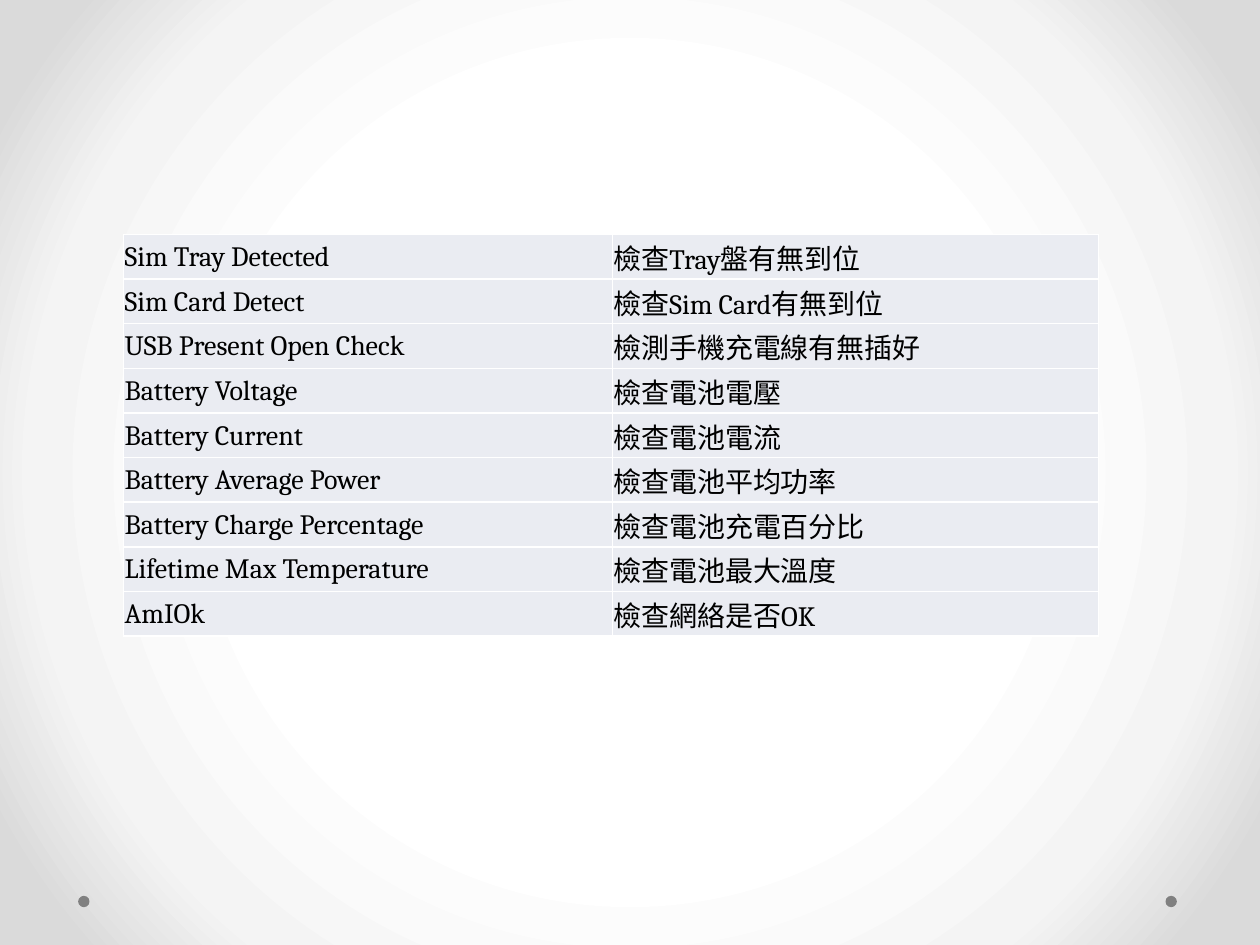
"""Build a slide with a table of phone hardware checks."""
import pptx
import pptx.dml.color
import pptx.enum.shapes
import pptx.enum.text
import pptx.oxml
import pptx.oxml.ns
import pptx.util

Inches = pptx.util.Inches
Pt = pptx.util.Pt
RGBColor = pptx.dml.color.RGBColor

CHECKS = [
    ("Sim Tray Detected", "檢查Tray盤有無到位"),
    ("Sim Card Detect", "檢查Sim Card有無到位"),
    ("USB Present Open Check", "檢測手機充電線有無插好"),
    ("Battery Voltage", "檢查電池電壓"),
    ("Battery Current", "檢查電池電流"),
    ("Battery Average Power", "檢查電池平均功率"),
    ("Battery Charge Percentage", "檢查電池充電百分比"),
    ("Lifetime Max Temperature", "檢查電池最大溫度"),
    ("AmIOk", "檢查網絡是否OK"),
]
COLUMN_WIDTHS = [3.88, 3.86]
TABLE_LEFT, TABLE_TOP, TABLE_HEIGHT = 0.98, 1.86, 3.19
DOT_LEFTS, DOT_TOP, DOT_SIZE = [9.25, 0.62], 7.11, 0.09
BACKDROP_STOPS = [
    (50, RGBColor(0xFF, 0xFF, 0xFF)),
    (76, RGBColor(0xF4, 0xF4, 0xF4)),
    (92, RGBColor(0xDA, 0xDA, 0xDA)),
]
BLACK = RGBColor(0, 0, 0)
WHITE = RGBColor(0xFF, 0xFF, 0xFF)
GREY = RGBColor(0x80, 0x80, 0x80)
PALE_BLUE = RGBColor(0xEA, 0xEC, 0xF2)
FONT = "Cambria"


def paint_backdrop(slide):
    stops = "".join(
        f'<a:gs pos="{percent * 1000}"><a:srgbClr val="{color}"/></a:gs>'
        for percent, color in BACKDROP_STOPS
    )
    backdrop = pptx.oxml.parse_xml(
        f'<p:bg {pptx.oxml.ns.nsdecls("p", "a")}><p:bgPr>'
        f'<a:gradFill rotWithShape="1"><a:gsLst>{stops}</a:gsLst><a:path path="circle">'
        '<a:fillToRect l="50000" t="50000" r="50000" b="50000"/></a:path></a:gradFill>'
        '<a:effectLst/></p:bgPr></p:bg>'
    )
    slide.element.cSld.insert(0, backdrop)


def add_dot(slide, left):
    dot = slide.shapes.add_shape(
        pptx.enum.shapes.MSO_SHAPE.OVAL,
        Inches(left), Inches(DOT_TOP), Inches(DOT_SIZE), Inches(DOT_SIZE),
    )
    dot.shadow.inherit = False
    dot.fill.solid()
    dot.fill.fore_color.rgb = GREY
    dot.line.fill.background()


def set_borders(cell):
    properties = cell._tc.get_or_add_tcPr()
    for position, side in enumerate(("lnL", "lnR", "lnT", "lnB")):
        properties.insert(position, pptx.oxml.parse_xml(
            f'<a:{side} {pptx.oxml.ns.nsdecls("a")} w="{Pt(1)}"><a:solidFill>'
            f'<a:srgbClr val="{WHITE}"/></a:solidFill></a:{side}>'
        ))


def fill_cell(cell, wording):
    cell.text_frame.text = wording
    cell.vertical_anchor = pptx.enum.text.MSO_ANCHOR.MIDDLE
    cell.margin_left = cell.margin_right = cell.margin_top = Inches(0.01)
    cell.margin_bottom = 0
    cell.fill.solid()
    cell.fill.fore_color.rgb = PALE_BLUE
    font = cell.text_frame.paragraphs[0].runs[0].font
    font.name = FONT
    font.size = Pt(16)
    font.color.rgb = BLACK
    set_borders(cell)


def add_checks(slide):
    checks = slide.shapes.add_table(
        len(CHECKS), len(COLUMN_WIDTHS), Inches(TABLE_LEFT), Inches(TABLE_TOP),
        Inches(sum(COLUMN_WIDTHS)), Inches(TABLE_HEIGHT),
    ).table
    checks.first_row = checks.horz_banding = False
    for column, width in zip(checks.columns, COLUMN_WIDTHS):
        column.width = Inches(width)
    for row, check in zip(checks.rows, CHECKS):
        for cell, wording in zip(row.cells, check):
            fill_cell(cell, wording)


def main():
    deck = pptx.Presentation()
    deck.slide_width, deck.slide_height = Inches(10), Inches(7.5)
    slide = deck.slides.add_slide(deck.slide_layouts[6])
    paint_backdrop(slide)
    for left in DOT_LEFTS:
        add_dot(slide, left)
    add_checks(slide)
    deck.save("out.pptx")


if __name__ == "__main__":
    main()
